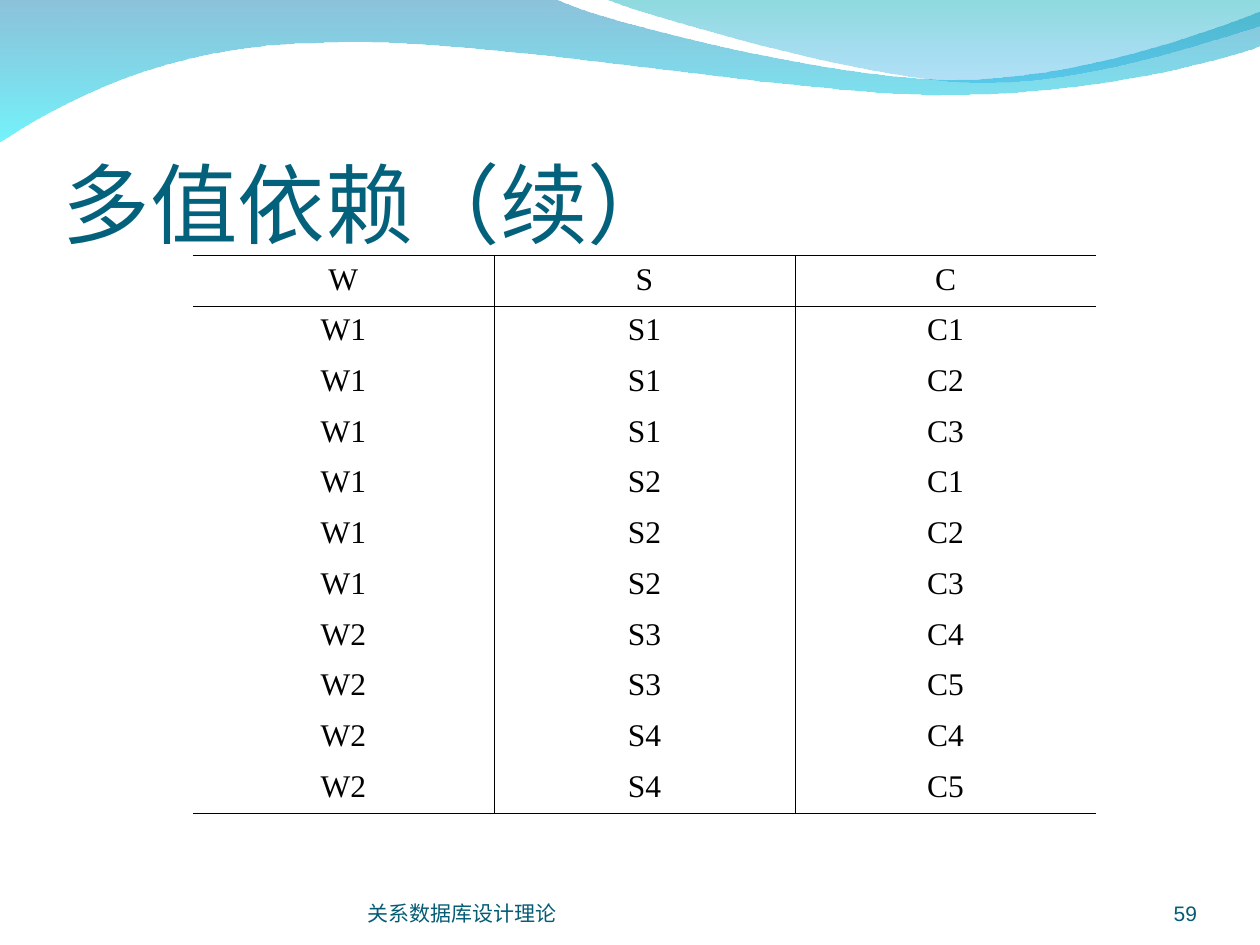
from lxml import etree
from pptx import Presentation
from pptx.dml.color import RGBColor
from pptx.enum.text import MSO_ANCHOR, PP_ALIGN
from pptx.oxml.ns import qn
from pptx.util import Inches, Pt

LEFT, CENTER, RIGHT = PP_ALIGN.LEFT, PP_ALIGN.CENTER, PP_ALIGN.RIGHT
BOTTOM = MSO_ANCHOR.BOTTOM
BLACK = RGBColor(0x00, 0x00, 0x00)
TITLE_TEAL = RGBColor(0x04, 0x61, 0x7B)
FOOTER_TEAL = RGBColor(0x04, 0x5C, 0x75)
DEEP_BLUE = RGBColor(0x00, 0x79, 0xAF)
CYAN = RGBColor(0x00, 0xEB, 0xF8)
SEA_GREEN = RGBColor(0x00, 0xAD, 0xB6)
SKY_BLUE = RGBColor(0x00, 0x9B, 0xE5)

HEADER = ("W", "S", "C")
GROUPS = [
    ("W1", ("S1", "S2"), ("C1", "C2", "C3")),
    ("W2", ("S3", "S4"), ("C4", "C5")),
]
TABLE_LEFT, TABLE_TOP, TABLE_WIDTH, TABLE_HEIGHT = map(Inches, (1.53, 2.03, 7.17, 4.43))
BORDER_WIDTH = Pt(0.45)
CELL_FONT = {"size": Pt(18), "name": "Times New Roman", "color": BLACK}

TITLE_FONT = {"size": Pt(50), "name": "Calibri", "color": TITLE_TEAL}
FOOTER_FONT = {"size": Pt(12), "name": "Arial", "color": FOOTER_TEAL}
TEXTS = [
    ("多值依赖（续）", (0.5, 0.77, 9, 1.25), 0.05, LEFT, 1, TITLE_FONT),
    ("关系数据库设计理论", (2.92, 6.95, 3.67, 0.4), 0, LEFT, 0.9, FOOTER_FONT),
    ("59", (8.67, 6.95, 0.83, 0.4), 0, RIGHT, 0.9, FOOTER_FONT),
]

WAVES = [
    ([[(0, -0.01)],
      [(4.4, -0.01)],
      [(4.76, 0.17), (6.64, 0.63), (7.58, 0.63)],
      [(8.53, 0.63), (9.58, 0.26), (10, 0.09)],
      [(10.01, 0.36)],
      [(9.83, 0.44), (8.7, 0.76), (7.46, 0.75)],
      [(6.22, 0.75), (3.82, 0.28), (2.57, 0.34)],
      [(1.29, 0.35), (0.46, 0.83), (-0.01, 1.13)]],
     [(DEEP_BLUE, 45), (CYAN, 55)]),
    ([[(4.79, -0.01)],
      [(5.09, 0.11), (6.82, 0.62), (7.69, 0.65)],
      [(8.56, 0.69), (9.61, 0.32), (10, 0.21)],
      [(10, 0)]],
     [(SEA_GREEN, 45), (SKY_BLUE, 30)]),
]


def bend_sides(wave, segments):
    sides = list(wave._element.spPr.iter(qn("a:lnTo")))
    for side, points in zip(sides, segments):
        if len(points) == 3:
            side.tag = qn("a:cubicBezTo")
            for index, (x, y) in enumerate(points[:2]):
                control = etree.Element(qn("a:pt"), x=str(Inches(x) - wave.left),
                                        y=str(Inches(y) - wave.top))
                side.insert(index, control)


def add_wave(slide, segments, colors):
    start, *ends = [tuple(map(Inches, points[-1])) for points in segments]
    builder = slide.shapes.build_freeform(*start, scale=1.0)
    builder.add_line_segments(ends, close=True)
    wave = builder.convert_to_shape()
    bend_sides(wave, segments[1:])
    wave.shadow.inherit = False
    wave.line.fill.background()
    wave.fill.gradient()
    wave.fill.gradient_angle = 270
    for position, (color, opacity) in enumerate(colors):
        stop = wave.fill.gradient_stops[position]
        stop.position = position
        stop.color.rgb = color
    for tag, (color, opacity) in zip(wave._element.spPr.iter(qn("a:srgbClr")), colors):
        etree.SubElement(tag, qn("a:alpha"), val=str(opacity * 1000))


def write(frame, text, align, font):
    paragraph = frame.paragraphs[0]
    paragraph.alignment = align
    run = paragraph.add_run()
    run.text = text
    for key, value in font.items():
        if key == "color":
            run.font.color.rgb = value
        else:
            setattr(run.font, key, value)
    return paragraph


def add_text(slide, text, place, top_inset, align, spacing, font):
    frame = slide.shapes.add_textbox(*map(Inches, place)).text_frame
    settings = {"word_wrap": True, "vertical_anchor": BOTTOM, "margin_left": 0,
                "margin_right": 0, "margin_top": Inches(top_inset), "margin_bottom": 0}
    for key, value in settings.items():
        setattr(frame, key, value)
    write(frame, text, align, font).line_spacing = spacing


def set_border(cell, side, drawn):
    line = etree.SubElement(cell._tc.get_or_add_tcPr(), qn(f"a:ln{side}"), w=str(BORDER_WIDTH))
    fill = etree.SubElement(line, qn("a:solidFill" if drawn else "a:noFill"))
    if drawn:
        etree.SubElement(fill, qn("a:srgbClr"), val=str(BLACK))


def add_relation(slide):
    rows = [HEADER] + [(w, s, c) for w, s_values, c_values in GROUPS
                       for s in s_values for c in c_values]
    last_row, last_column = len(rows) - 1, len(HEADER) - 1
    table = slide.shapes.add_table(len(rows), len(HEADER), TABLE_LEFT, TABLE_TOP,
                                   TABLE_WIDTH, TABLE_HEIGHT).table
    table.first_row = table.horz_banding = False
    for r, values in enumerate(rows):
        for c, value in enumerate(values):
            cell = table.cell(r, c)
            borders = {"L": c > 0, "R": c < last_column,
                       "T": r in (0, 1), "B": r in (0, last_row)}
            for side, drawn in borders.items():
                set_border(cell, side, drawn)
            cell.fill.background()
            write(cell.text_frame, value, CENTER, CELL_FONT)


def main():
    deck = Presentation()
    deck.slide_width, deck.slide_height = Inches(10), Inches(7.5)
    slide = deck.slides.add_slide(deck.slide_layouts[6])
    for wave in WAVES:
        add_wave(slide, *wave)
    for text in TEXTS:
        add_text(slide, *text)
    add_relation(slide)
    deck.save("out.pptx")


if __name__ == "__main__":
    main()
